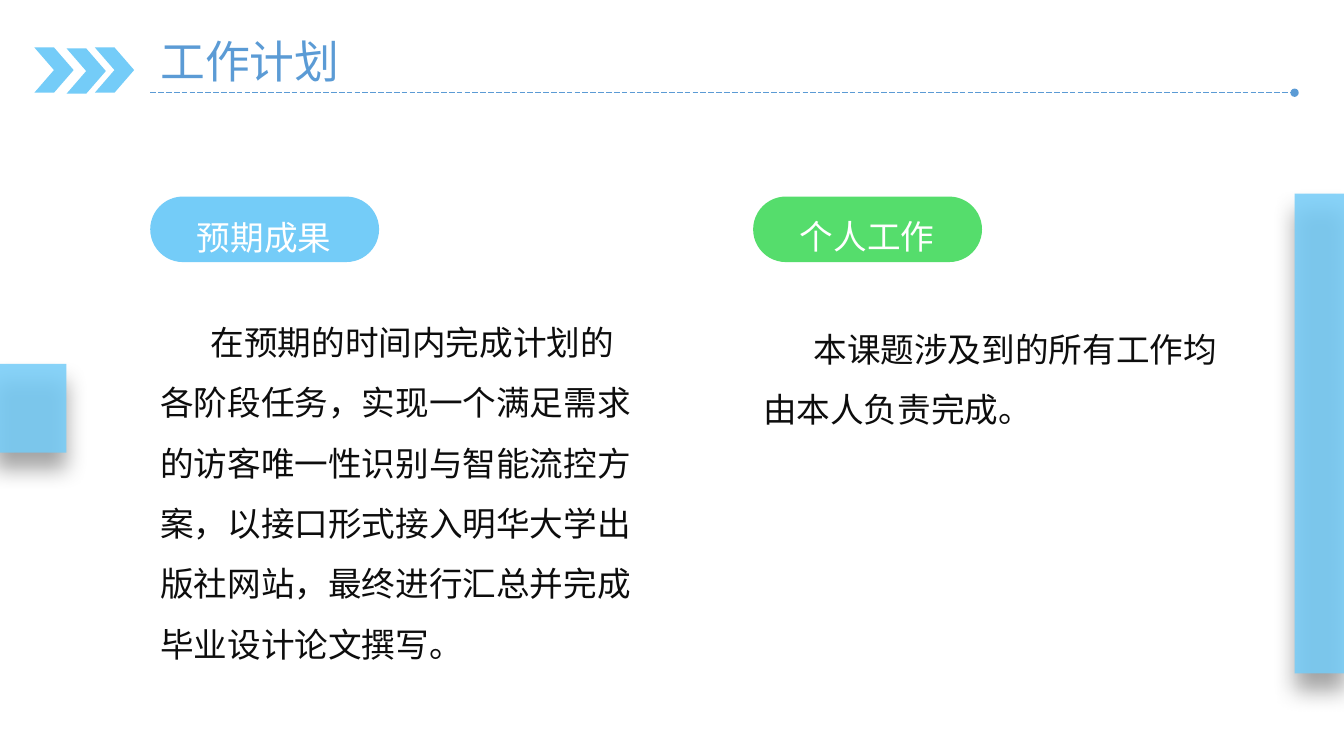
"""Build the work plan slide with its two headed columns."""
from lxml import etree
from pptx import Presentation
from pptx.dml.color import RGBColor
from pptx.enum.dml import MSO_LINE
from pptx.enum.shapes import MSO_CONNECTOR, MSO_SHAPE
from pptx.enum.text import MSO_ANCHOR, MSO_AUTO_SIZE, PP_ALIGN
from pptx.oxml.ns import qn
from pptx.util import Inches, Pt

RECT, PILL, CHEVRON = MSO_SHAPE.RECTANGLE, MSO_SHAPE.ROUNDED_RECTANGLE, MSO_SHAPE.CHEVRON
LEFT, CENTER = PP_ALIGN.LEFT, PP_ALIGN.CENTER
CJK_FONT = "Noto Sans CJK SC"
COLORS = {"sky": "74CCF8", "green": "55DD6C", "title": "5B9BD5",
          "body": "0D0D0D", "white": "FFFFFF", "shadow": "000000"}

TITLE = "工作计划"
COLUMNS = [
    {"heading": "预期成果", "color": "sky", "left": 1.49, "heading_top": 1.9,
     "body_top": 2.94, "body_height": 3.66,
     "body": "在预期的时间内完成计划的各阶段任务，实现一个满足需求的访客唯一性识别与智能流控方案，"
             "以接口形式接入明华大学出版社网站，最终进行汇总并完成毕业设计论文撰写。"},
    {"heading": "个人工作", "color": "green", "left": 7.47, "heading_top": 1.89,
     "body_top": 3.01, "body_height": 1.24,
     "body": "本课题涉及到的所有工作均由本人负责完成。"},
]
CHEVRONS = [(0.34, 0.47), (0.66, 0.48), (0.94, 0.47)]
EDGE_BLOCKS = [(12.84, 1.92, 0.5, 4.76), (-0.05, 3.61, 0.71, 0.88)]
RULE_LEFT, RULE_RIGHT, RULE_TOP = 1.49, 12.84, 0.92


def rgb(color):
    return RGBColor.from_string(COLORS[color])


def add_block(kind, box, color):
    block = slide.shapes.add_shape(kind, *map(Inches, box))
    block.fill.solid()
    block.fill.fore_color.rgb = rgb(color)
    block.line.fill.background()
    block.shadow.inherit = False
    return block


def add_alpha(color_element, percent):
    etree.SubElement(color_element, qn("a:alpha"), val=str(percent * 1000))


def float_block(block):
    properties = block.element.spPr
    add_alpha(properties.find(qn("a:solidFill"))[0], 85)
    shadow = etree.SubElement(properties.find(qn("a:effectLst")), qn("a:outerShdw"),
                              blurRad=str(Pt(16)), dist=str(Pt(12)),
                              dir=str(90 * 60000), rotWithShape="0")
    add_alpha(etree.SubElement(shadow, qn("a:srgbClr"), val=COLORS["shadow"]), 42)


def write(holder, text, size, color, font="Arial", align=LEFT, spacing=1.5, wrap=True):
    frame = holder.text_frame
    frame.word_wrap = wrap
    frame.auto_size = MSO_AUTO_SIZE.SHAPE_TO_FIT_TEXT
    frame.vertical_anchor = MSO_ANCHOR.TOP
    paragraph = frame.paragraphs[0]
    paragraph.alignment = align
    paragraph.line_spacing = spacing
    run = paragraph.add_run()
    run.text = text
    run.font.size = Pt(size)
    run.font.name = font
    run.font.color.rgb = rgb(color)
    etree.SubElement(run.font._element, qn("a:ea"), typeface=CJK_FONT)
    return paragraph


def add_text(box, *args, **options):
    return write(slide.shapes.add_textbox(*map(Inches, box)), *args, **options)


deck = Presentation()
deck.slide_width, deck.slide_height = Inches(13.33), Inches(7.5)
slide = deck.slides.add_slide(deck.slide_layouts[5])

title = slide.shapes.title
title.left, title.top, title.width, title.height = map(Inches, (RULE_LEFT, 0.28, 2, 0.64))
write(title, TITLE, 32, "title", font=CJK_FONT, spacing=1.0, wrap=False)

for left, top in CHEVRONS:
    add_block(CHEVRON, (left, top, 0.39, 0.45), "sky")
for box in EDGE_BLOCKS:
    float_block(add_block(RECT, box, "sky"))

rule = slide.shapes.add_connector(MSO_CONNECTOR.STRAIGHT, Inches(RULE_LEFT), Inches(RULE_TOP),
                                  Inches(RULE_RIGHT), Inches(RULE_TOP))
rule.line.color.rgb = rgb("title")
rule.line.width = Pt(0.5)
rule.line.dash_style = MSO_LINE.LONG_DASH
etree.SubElement(rule.line._ln, qn("a:tailEnd"), type="oval")
etree.SubElement(rule._element.spPr, qn("a:effectLst"))

for column in COLUMNS:
    left = column["left"]
    pill = add_block(PILL, (left, 1.95, 2.27, 0.65), column["color"])
    pill.adjustments[0] = 0.5
    add_text((left + 0.35, column["heading_top"], 1.56, 0.64),
             column["heading"], 24, "white", align=CENTER)
    body = add_text((left, column["body_top"], 5.02, column["body_height"]),
                    column["body"], 24, "body")
    body._p.get_or_add_pPr().set("indent", str(Inches(0.5)))

deck.save("out.pptx")
